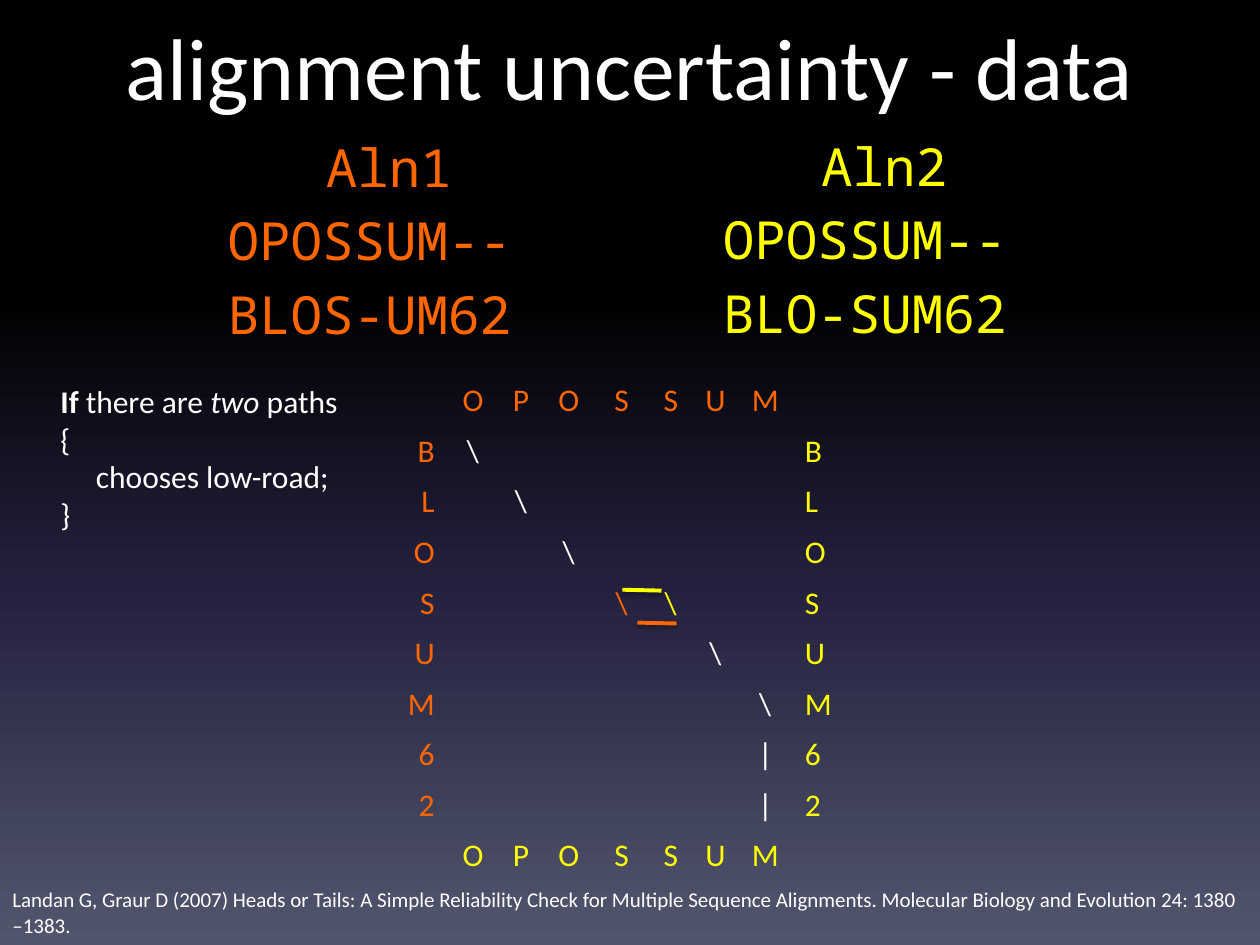
"""Build the slide on alignment uncertainty with its two alignments and path grid."""
from lxml import etree
from pptx import Presentation
from pptx.dml.color import RGBColor
from pptx.enum.shapes import MSO_CONNECTOR
from pptx.enum.text import MSO_ANCHOR, PP_ALIGN
from pptx.oxml.ns import qn
from pptx.util import Pt

STRAIGHT = MSO_CONNECTOR.STRAIGHT
TOP, MIDDLE, BOTTOM = MSO_ANCHOR.TOP, MSO_ANCHOR.MIDDLE, MSO_ANCHOR.BOTTOM
LEFT, CENTER, RIGHT = PP_ALIGN.LEFT, PP_ALIGN.CENTER, PP_ALIGN.RIGHT
BLACK = RGBColor(0x00, 0x00, 0x00)
WHITE = RGBColor(0xFF, 0xFF, 0xFF)
ORANGE = RGBColor(0xFF, 0x66, 0x00)
YELLOW = RGBColor(0xFF, 0xFF, 0x00)
INDIGO = RGBColor(0x24, 0x21, 0x3E)
SLATE = RGBColor(0x51, 0x56, 0x6D)
NO_STYLE_NO_GRID = "{2D5ABB26-0587-4C30-8999-92F81FD0307C}"

TITLE_FONT = {"name": "Calibri", "size": Pt(50)}
ALIGNMENT_FONT = {"name": "Noto Sans Mono", "size": Pt(30)}
BODY_FONT = {"name": "Calibri", "size": Pt(18)}
CITATION_FONT = {"name": "Calibri", "size": Pt(12)}


def add_span(para, text, color, *formats):
    span = para.add_run()
    span.text = text
    for values in formats:
        for name, value in values.items():
            setattr(span.font, name, value)
    span.font.color.rgb = color


def add_box(slide, left, top, width, height, anchor=TOP):
    box = slide.shapes.add_textbox(Pt(left), Pt(top), Pt(width), Pt(height))
    box.text_frame.word_wrap = True
    box.text_frame.vertical_anchor = anchor
    return box.text_frame


deck = Presentation()
deck.slide_width, deck.slide_height = Pt(720), Pt(540)
slide = deck.slides.add_slide(deck.slide_layouts[6])

background = slide.background.fill
background.gradient()
background.gradient_angle = 270
stops = slide.element.find(".//" + qn("a:gsLst"))
for stop in list(stops):
    stops.remove(stop)
for percent, color in [(0, BLACK), (31, BLACK), (62, INDIGO), (100, SLATE)]:
    stop = etree.SubElement(stops, qn("a:gs"), pos=str(percent * 1000))
    etree.SubElement(stop, qn("a:srgbClr"), val=str(color))

title = add_box(slide, 36, 1.5, 648, 72, MIDDLE).paragraphs[0]
title.alignment = CENTER
add_span(title, "alignment uncertainty - data", WHITE, TITLE_FONT)

alignments = [
    (123, 73.5, ORANGE, ["Aln1", "OPOSSUM--", "BLOS-UM62"]),
    (406, 73, YELLOW, ["Aln2", "OPOSSUM--", "BLO-SUM62"]),
]
for left, top, color, lines in alignments:
    frame = add_box(slide, left, top, 198.5, 133)
    for number, line in enumerate(lines):
        para = frame.add_paragraph() if number else frame.paragraphs[0]
        para.alignment = LEFT if number else CENTER
        if number:
            para.space_before = Pt(6)
        add_span(para, line, color, ALIGNMENT_FONT)

across, down = "OPOSSUM", "BLOSUM62"
entries = []
for column, letter in enumerate(across, 1):
    entries.append((0, column, letter, ORANGE, CENTER, BOTTOM))
    entries.append((len(down) + 1, column, letter, YELLOW, CENTER, BOTTOM))
for row, letter in enumerate(down, 1):
    entries.append((row, 0, letter, ORANGE, RIGHT, MIDDLE))
    entries.append((row, len(across) + 1, letter, YELLOW, LEFT, MIDDLE))
for row in range(1, len(down) + 1):
    column = min(row if row < 5 else row + 1, len(across))
    mark = "\\" if row < 7 else "|"
    color = ORANGE if row == 4 else WHITE
    entries.append((row, column, mark, color, CENTER, MIDDLE))
entries.append((4, 5, "\\", YELLOW, CENTER, MIDDLE))

column_widths = [38.2, 29.5, 25.2, 29.5, 31, 25.2, 25.9, 31, 31]
row_count = len(down) + 2
grid = slide.shapes.add_table(
    row_count, len(column_widths), Pt(217.4), Pt(214.6),
    Pt(sum(column_widths)), Pt(29 * row_count),
).table
grid.first_row = grid.horz_banding = False
grid._tbl.tblPr.find(qn("a:tableStyleId")).text = NO_STYLE_NO_GRID
for column, width in zip(grid.columns, column_widths):
    column.width = Pt(width)
for row in grid.rows:
    row.height = Pt(28.9)
for cell in grid.iter_cells():
    cell.fill.background()
for row, column, text, color, alignment, anchor in entries:
    cell = grid.cell(row, column)
    cell.vertical_anchor = anchor
    para = cell.text_frame.paragraphs[0]
    para.alignment = alignment
    add_span(para, text, color, BODY_FONT)

for left, top, color in [(355.7, 337, YELLOW), (364.3, 355.8, ORANGE)]:
    road = slide.shapes.add_connector(
        STRAIGHT, Pt(left), Pt(top), Pt(left + 22.3), Pt(top + 0.5))
    road.line.color.rgb = color
    road.line.width = Pt(2.25)
    effects = etree.SubElement(road.element.spPr, qn("a:effectLst"))
    shadow = etree.SubElement(
        effects, qn("a:outerShdw"), blurRad=str(Pt(3.1)), dist=str(Pt(1.6)),
        dir="5400000", rotWithShape="0")
    shade = etree.SubElement(shadow, qn("a:srgbClr"), val=str(BLACK))
    etree.SubElement(shade, qn("a:alpha"), val="38000")

citation = add_box(slide, 0, 503.3, 720, 36).paragraphs[0]
add_span(
    citation,
    "Landan G, Graur D (2007) Heads or Tails: A Simple Reliability Check for "
    "Multiple Sequence Alignments. Molecular Biology and Evolution 24: 1380 –1383.",
    WHITE, CITATION_FONT)

code_lines = [
    [("If", {"bold": True}), (" there are ", {}), ("two", {"italic": True}), (" paths", {})],
    [("{", {})],
    [("     chooses low-road;", {})],
    [("}", {})],
]
frame = add_box(slide, 27.4, 214.6, 183.6, 94.3)
for number, spans in enumerate(code_lines):
    para = frame.add_paragraph() if number else frame.paragraphs[0]
    for text, emphasis in spans:
        add_span(para, text, WHITE, BODY_FONT, emphasis)

deck.save("out.pptx")
